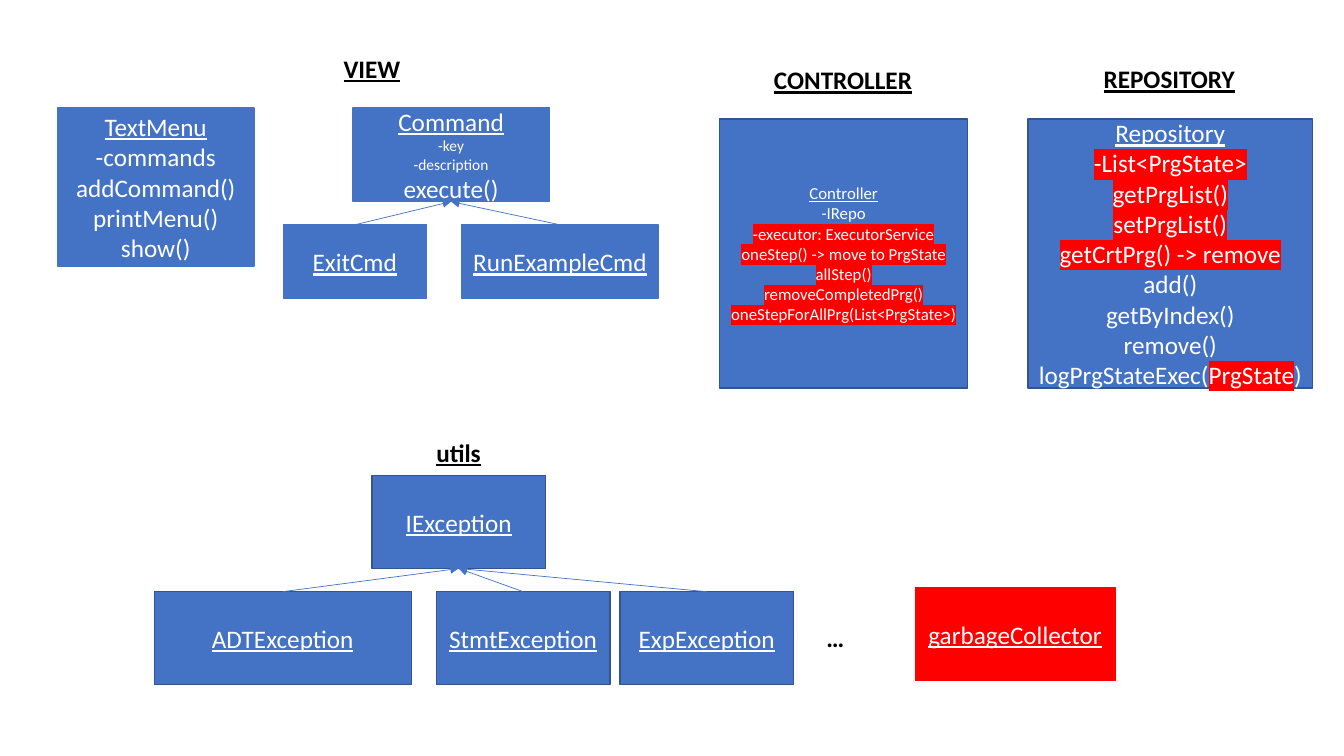
import pptx
import pptx.util
import pptx.dml.color
import pptx.enum.shapes
import pptx.enum.text
import pptx.oxml
import pptx.oxml.ns

COLORS = {
    "blue": "4472C4",
    "navy": "325491",
    "red": "FF0000",
    "white": "FFFFFF",
    "black": "000000",
}
FONT = "Calibri"
UNIT = pptx.util.Inches(0.1)
COLUMNS, ROWS = 133.33, 75
TOP, BOTTOM = 0, 2
MARK = "*"


def color(name):
    return pptx.dml.color.RGBColor.from_string(COLORS[name])


def grid(*cells):
    return [round(cell * UNIT) for cell in cells]


def add_xml(parent, tag, content="", attributes=""):
    namespace = pptx.oxml.ns.nsdecls("a")
    parent.append(pptx.oxml.parse_xml(
        f"<a:{tag} {namespace} {attributes}>{content}</a:{tag}>"))


def style_font(font, size, tone, bold=False, underline=False):
    font.name = FONT
    font.size = pptx.util.Pt(size)
    font.bold = bold
    font.underline = underline
    font.color.rgb = color(tone)


def add_spans(para, line):
    for index, piece in enumerate(line.split(MARK)):
        if piece:
            span = para.add_run()
            span.text = piece
            if index % 2:
                add_xml(span.font._element, "highlight",
                        f'<a:srgbClr val="{COLORS["red"]}"/>')


def add_class(page, place, lines, fill="blue", edge="blue", size=18, field_size=None):
    box = page.shapes.add_shape(
        pptx.enum.shapes.MSO_SHAPE.RECTANGLE, *grid(*place))
    box.shadow.inherit = False
    box.fill.solid()
    box.fill.fore_color.rgb = color(fill)
    box.line.color.rgb = color(edge)
    box.line.width = pptx.util.Pt(1)
    frame = box.text_frame
    frame.word_wrap = True
    frame.vertical_anchor = pptx.enum.text.MSO_ANCHOR.MIDDLE
    for index, line in enumerate(lines):
        para = frame.add_paragraph() if index else frame.paragraphs[0]
        para.alignment = pptx.enum.text.PP_ALIGN.CENTER
        is_field = line.startswith("-")
        line_size = field_size if field_size and is_field else size
        style_font(para.font, line_size, "white", underline=index == 0)
        add_spans(para, line)
    return box


def add_heading(page, place, text, underline=True):
    box = page.shapes.add_textbox(*grid(*place))
    frame = box.text_frame
    frame.word_wrap = False
    frame.auto_size = pptx.enum.text.MSO_AUTO_SIZE.SHAPE_TO_FIT_TEXT
    para = frame.paragraphs[0]
    style_font(para.font, 18, "black", bold=True, underline=underline)
    add_spans(para, text)


def add_inheritance(page, child, parent):
    arrow = page.shapes.add_connector(
        pptx.enum.shapes.MSO_CONNECTOR.STRAIGHT, 0, 0, 0, 0)
    arrow.begin_connect(child, TOP)
    arrow.end_connect(parent, BOTTOM)
    arrow.line.color.rgb = color("blue")
    arrow.line.width = pptx.util.Pt(0.5)
    add_xml(arrow.line._get_or_add_ln(), "tailEnd", attributes='type="triangle"')
    add_xml(arrow._element.spPr, "effectLst")


def add_family(page, parent, children, top, height, edge):
    for name, left, width in children:
        child = add_class(page, (left, top, width, height), [name], edge=edge)
        add_inheritance(page, child, parent)


def add_view(page):
    add_heading(page, (33.1, 4.8, 7.7, 4), "VIEW")
    add_class(page, (5.7, 10.7, 19.5, 15.7),
              ["TextMenu", "-commands", "addCommand()", "printMenu()", "show()"])
    command = add_class(page, (35, 10.7, 19.5, 9.3),
                        ["Command", "-key", "-description", "execute()"],
                        field_size=11)
    add_family(page, command,
               [("ExitCmd", 28.1, 14.2), ("RunExampleCmd", 45.8, 19.5)],
               22.3, 7.3, "blue")


def add_controller(page):
    add_heading(page, (75.8, 5.9, 15.8, 4), "CONTROLLER")
    add_class(page, (71.4, 11.8, 24.6, 26.7),
              ["Controller", "-IRepo", "*-executor: ExecutorService*",
               "*oneStep() -> move to PrgState*", "*allStep()*",
               "*removeCompletedPrg()*", "*oneStepForAllPrg(List<PrgState>)*"],
              edge="navy", size=12)


def add_repository(page):
    add_heading(page, (108.5, 5.8, 15.1, 4), "REPOSITORY")
    add_class(page, (102, 11.8, 28.2, 26.7),
              ["Repository", "*-List<PrgState>*", "*getPrgList()*",
               "*setPrgList()*", "*getCrtPrg() -> remove*", "add()",
               "getByIndex()", "remove()", "logPrgStateExec(*PrgState*)"],
              edge="navy")


def add_utils(page):
    add_heading(page, (42.3, 42.9, 6.5, 4), "utils")
    exception = add_class(page, (36.9, 47.2, 17.2, 9.2), ["IException"], edge="navy")
    add_family(page, exception,
               [("ADTException", 15.3, 25.5), ("StmtException", 43.3, 17.2),
                ("ExpException", 61.5, 17.2)],
               58.7, 9.2, "navy")
    add_heading(page, (81, 61.2, 3.8, 4), "…", underline=False)
    add_class(page, (90.8, 58.3, 19.8, 9.2), ["garbageCollector"],
              fill="red", edge="red")


def main():
    deck = pptx.Presentation()
    deck.slide_width, deck.slide_height = grid(COLUMNS, ROWS)
    page = deck.slides.add_slide(deck.slide_layouts[6])
    add_view(page)
    add_controller(page)
    add_repository(page)
    add_utils(page)
    deck.save("out.pptx")


main()
